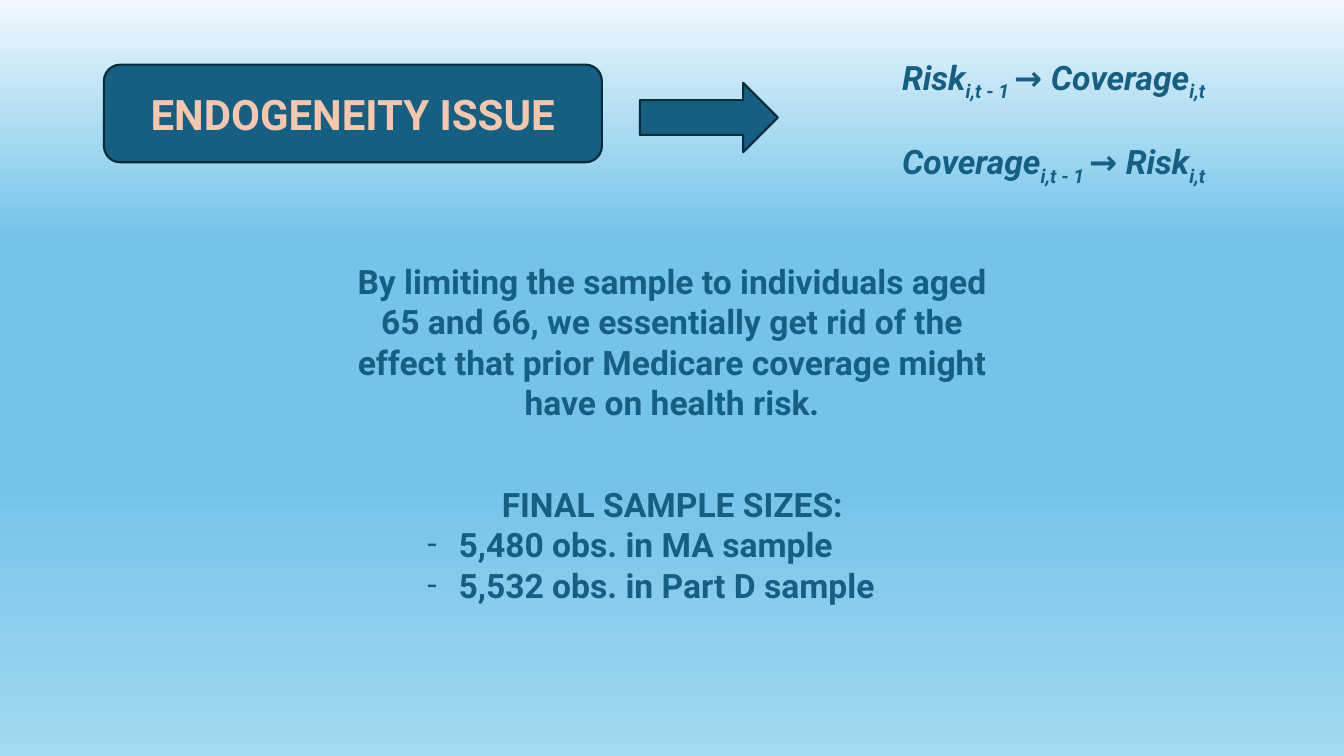
import pptx
import pptx.dml.color
import pptx.enum.shapes
import pptx.enum.text
import pptx.oxml
import pptx.oxml.ns
import pptx.util
from pptx.util import Cm

RGBColor = pptx.dml.color.RGBColor
PALE = RGBColor(0xF0, 0xF8, 0xFD)
SKY = RGBColor(0x74, 0xC4, 0xE9)
LIGHT_SKY = RGBColor(0xA2, 0xD8, 0xF0)
TEAL = RGBColor(0x15, 0x60, 0x82)
DARK_TEAL = RGBColor(0x09, 0x2A, 0x39)
PEACH = RGBColor(0xF6, 0xC6, 0xAD)
BACKGROUND_STOPS = [(0, PALE), (31, SKY), (64, SKY), (100, LIGHT_SKY)]

CENTER = pptx.enum.text.PP_ALIGN.CENTER
SHAPES = pptx.enum.shapes.MSO_SHAPE
FONT = "Roboto"


def drawing_element(tag, attributes="", content=""):
    namespace = pptx.oxml.ns.nsdecls("a")
    return pptx.oxml.parse_xml(f"<a:{tag} {namespace} {attributes}>{content}</a:{tag}>")


def paint_background(slide):
    fill = slide.background.fill
    fill.gradient()
    fill.gradient_angle = 270
    stop_list = slide.element.find(".//" + pptx.oxml.ns.qn("a:gsLst"))
    for stop in list(stop_list):
        stop_list.remove(stop)
    for position, color in BACKGROUND_STOPS:
        stop_list.append(drawing_element(
            "gs", f'pos="{position * 1000}"', f'<a:srgbClr val="{color}"/>'))


def add_text(paragraph, text, size=24, color=TEAL, italic=False, baseline=0):
    run = paragraph.add_run()
    run.text = text
    run.font.name = FONT
    run.font.size = pptx.util.Pt(size)
    run.font.bold = True
    run.font.italic = italic
    run.font.color.rgb = color
    if baseline:
        run.font._element.set("baseline", str(baseline * 1000))


def add_text_frame(slide, left, top, width, height):
    text_frame = slide.shapes.add_textbox(left, top, width, height).text_frame
    text_frame.word_wrap = True
    text_frame.auto_size = pptx.enum.text.MSO_AUTO_SIZE.SHAPE_TO_FIT_TEXT
    text_frame.paragraphs[0].alignment = CENTER
    return text_frame


def add_block(slide, kind, left, top, width, height):
    shape = slide.shapes.add_shape(kind, left, top, width, height)
    shape.shadow.inherit = False
    shape.fill.solid()
    shape.fill.fore_color.rgb = TEAL
    shape.line.color.rgb = DARK_TEAL
    shape.line.width = pptx.util.Pt(1.5)
    return shape


def add_title(slide, left, top, width, height):
    title = add_block(slide, SHAPES.ROUNDED_RECTANGLE, left, top, width, height)
    title.text_frame.vertical_anchor = pptx.enum.text.MSO_ANCHOR.MIDDLE
    paragraph = title.text_frame.paragraphs[0]
    paragraph.alignment = CENTER
    add_text(paragraph, "ENDOGENEITY ISSUE", size=30, color=PEACH)


def add_arrow(slide, left, top, width, height):
    arrow = add_block(slide, SHAPES.DOWN_ARROW, left, top, width, height)
    arrow.rotation = 270


def add_relations(slide, left, top, width, height):
    row_height = Cm(1.27)
    pairs = [("Risk", "Coverage"), ("Coverage", "Risk")]
    for row, (cause, effect) in enumerate(pairs):
        row_top = top + row * (height - row_height)
        paragraph = add_text_frame(slide, left, row_top, width, row_height).paragraphs[0]
        add_text(paragraph, cause, italic=True)
        add_text(paragraph, "i,t - 1 ", italic=True, baseline=-25)
        add_text(paragraph, "→ ")
        add_text(paragraph, effect, italic=True)
        add_text(paragraph, "i,t", italic=True, baseline=-25)


def add_explanation(slide, left, top, width, height):
    text_frame = add_text_frame(slide, left, top, width, height)
    add_text(
        text_frame.paragraphs[0],
        "By limiting the sample to individuals aged 65 and 66, we essentially get rid "
        "of the effect that prior Medicare coverage might have on health risk.")


def add_sample_sizes(slide, left, top, width, height):
    text_frame = add_text_frame(slide, left, top, width, height)
    add_text(text_frame.paragraphs[0], "FINAL SAMPLE SIZES:")
    for item in ["5,480 obs. in MA sample", "5,532 obs. in Part D sample"]:
        paragraph = text_frame.add_paragraph()
        indent = Cm(0.79)
        properties = paragraph._p.get_or_add_pPr()
        properties.set("marL", str(indent))
        properties.set("indent", str(-indent))
        properties.append(drawing_element("buFont", f'typeface="{FONT}"'))
        properties.append(drawing_element("buChar", 'char="-"'))
        add_text(paragraph, item)


def main():
    presentation = pptx.Presentation()
    presentation.slide_width = Cm(33.87)
    presentation.slide_height = Cm(19.05)
    slide = presentation.slides.add_slide(presentation.slide_layouts[6])
    paint_background(slide)
    add_title(slide, Cm(2.62), Cm(1.63), Cm(12.55), Cm(2.46))
    add_relations(slide, Cm(21.87), Cm(1.3), Cm(9.37), Cm(3.4))
    add_arrow(slide, Cm(16.99), Cm(1.22), Cm(1.75), Cm(3.48))
    add_sample_sizes(slide, Cm(10.52), Cm(12.07), Cm(12.85), Cm(3.33))
    add_explanation(slide, Cm(8.26), Cm(6.45), Cm(17.35), Cm(4.37))
    presentation.save("out.pptx")


if __name__ == "__main__":
    main()
